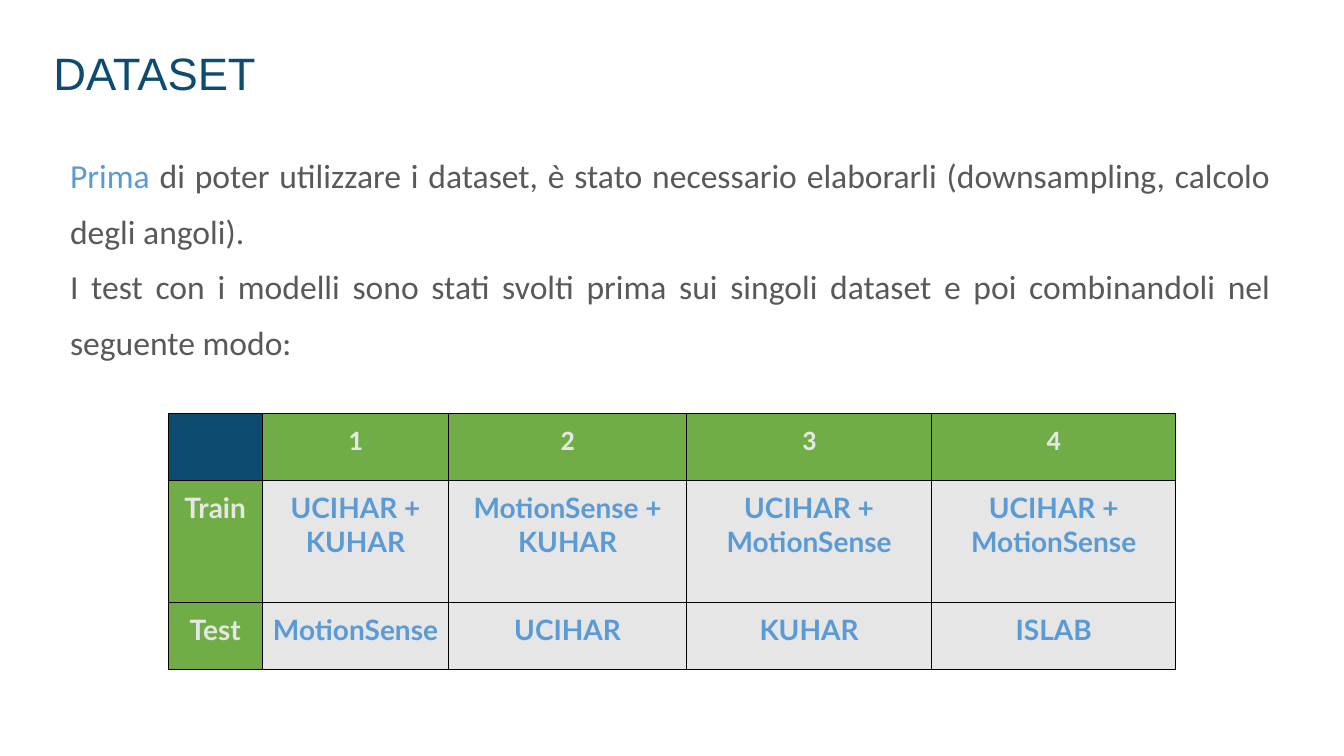
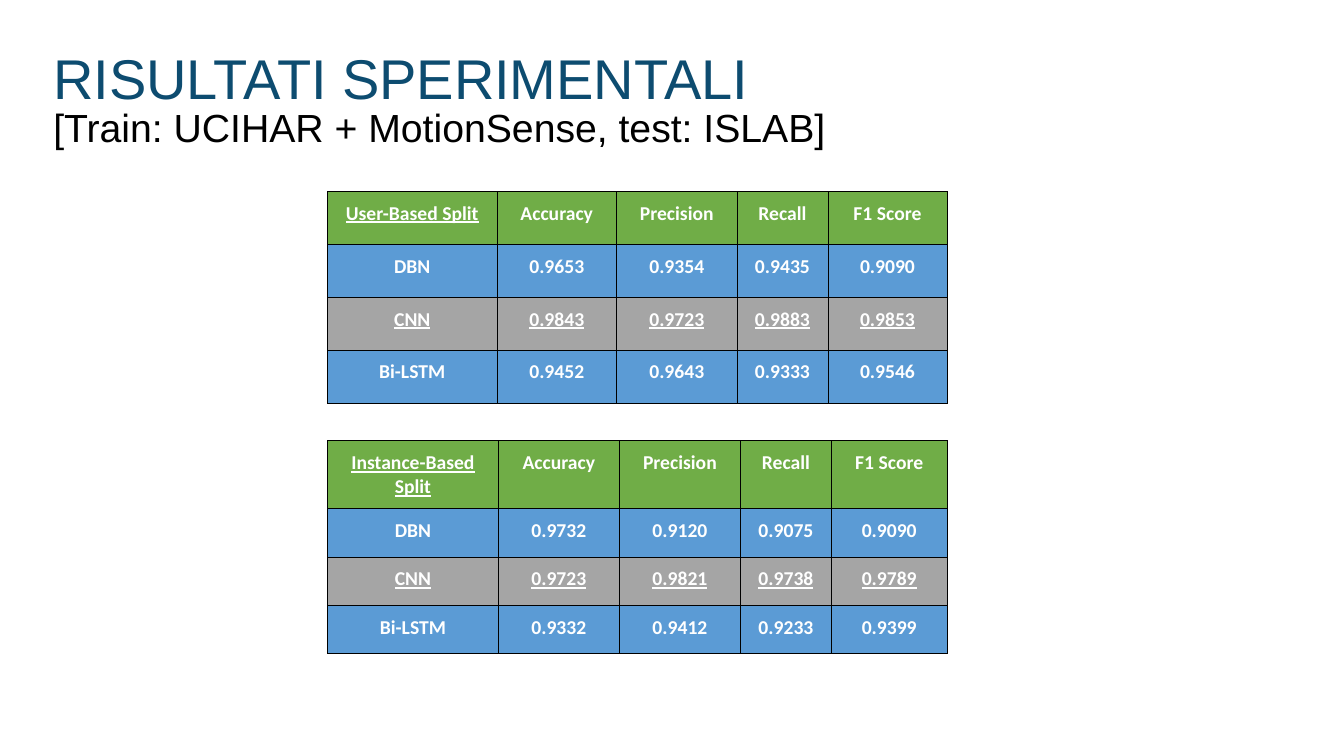
import lxml.etree
import pptx
import pptx.dml.color
import pptx.enum.shapes
import pptx.enum.text
import pptx.oxml.ns
import pptx.util

Pt = pptx.util.Pt
ALIGN = pptx.enum.text.PP_ALIGN

NAVY, BLUE, GREEN = "0D4C70", "5B9BD5", "70AD47"
GRAY, LIGHT, TEXT = "A5A5A5", "E7E6E6", "595959"
WHITE, BLACK = "FFFFFF", "000000"


def color(value):
    """Turn a hex string into a colour."""
    return pptx.dml.color.RGBColor.from_string(value)


class Deck:
    """Holds the shared style and the current slide."""

    heading_font = "Arial"
    body_font = "Calibri"
    heading_left, heading_width, heading_height = 31, 854.5, 44
    cell_margin = 7.2
    border_width = 0.75

    def __init__(self):
        """Start an empty widescreen presentation."""
        self.presentation = pptx.Presentation()
        self.presentation.slide_width = Pt(960)
        self.presentation.slide_height = Pt(540)
        self.slide = None

    def new_slide(self):
        """Add a blank slide with the shared side band and make it current."""
        self.slide = self.presentation.slides.add_slide(self.presentation.slide_layouts[6])
        self.band(903, 73.5, 46, 455, WHITE)

    def band(self, left, top, width, height, hue):
        """Add a plain filled rectangle without a line."""
        band = self.slide.shapes.add_shape(
            pptx.enum.shapes.MSO_SHAPE.RECTANGLE, Pt(left), Pt(top), Pt(width), Pt(height))
        band.shadow.inherit = False
        band.fill.solid()
        band.fill.fore_color.rgb = color(hue)
        band.line.fill.background()

    def style(self, run, size, hue, font, bold=False, underline=False):
        """Format one run."""
        run.font.size = Pt(size)
        run.font.name = font
        run.font.bold = bold
        run.font.underline = underline
        run.font.color.rgb = color(hue)

    def text_frame(self, left, top, width, height):
        """Add a wrapping text box and return its frame."""
        frame = self.slide.shapes.add_textbox(Pt(left), Pt(top), Pt(width), Pt(height)).text_frame
        frame.word_wrap = True
        return frame

    def heading(self, wording, size, top=33, hue=NAVY):
        """Add a title or subtitle line."""
        frame = self.text_frame(self.heading_left, top, self.heading_width, self.heading_height)
        frame.text = wording
        paragraph = frame.paragraphs[0]
        paragraph.line_spacing = 0.9
        self.style(paragraph.runs[0], size, hue, self.heading_font)

    def body(self, paragraphs):
        """Add justified paragraphs, each a list of (wording, colour) runs."""
        frame = self.text_frame(43, 96.3, 871.7, 198)
        for index, parts in enumerate(paragraphs):
            paragraph = frame.add_paragraph() if index else frame.paragraphs[0]
            paragraph.alignment = ALIGN.JUSTIFY
            paragraph.line_spacing = 1.38
            for wording, hue in parts:
                run = paragraph.add_run()
                run.text = wording
                self.style(run, 24, hue, self.body_font)

    def border(self, cell):
        """Draw a thin black line on all four sides of a cell."""
        properties = cell._tc.get_or_add_tcPr()
        qn = pptx.oxml.ns.qn
        for side in ("a:lnL", "a:lnR", "a:lnT", "a:lnB"):
            line = lxml.etree.SubElement(properties, qn(side), w=str(Pt(self.border_width)))
            fill = lxml.etree.SubElement(line, qn("a:solidFill"))
            lxml.etree.SubElement(fill, qn("a:srgbClr"), val=BLACK)

    def table(self, left, top, widths, heights, rows, look):
        """Add a table; look(row, column) gives the fill and the text style."""
        table = self.slide.shapes.add_table(
            len(rows), len(widths), Pt(left), Pt(top), Pt(sum(widths)), Pt(sum(heights))
        ).table
        table.horz_banding = False
        for column, width in zip(table.columns, widths):
            column.width = Pt(width)
        for r, (row, height, wordings) in enumerate(zip(table.rows, heights, rows)):
            row.height = Pt(height)
            for c, (cell, wording) in enumerate(zip(row.cells, wordings)):
                fill, text_style = look(r, c)
                self.border(cell)
                cell.fill.solid()
                cell.fill.fore_color.rgb = color(fill)
                cell.margin_left = cell.margin_right = Pt(self.cell_margin)
                cell.margin_top = cell.margin_bottom = Pt(self.cell_margin)
                cell.text_frame.text = wording
                paragraph = cell.text_frame.paragraphs[0]
                paragraph.alignment = ALIGN.CENTER
                for run in paragraph.runs:
                    self.style(run, bold=True, **text_style)


def split_look(row, column):
    """Colour the train and test table."""
    font = "Lato" if row else Deck.body_font
    if row and column:
        return LIGHT, {"size": 20, "hue": BLUE, "font": font}
    fill = GREEN if row or column else NAVY
    return fill, {"size": 20, "hue": LIGHT, "font": font}


def score_look(row, column):
    """Colour a score table and underline its name and its best model."""
    fill = (GREEN, BLUE, GRAY, BLUE)[row]
    underline = row == 2 or row == column == 0
    return fill, {"size": 14, "hue": WHITE, "font": Deck.body_font, "underline": underline}


def dataset_slide(deck):
    """Build the dataset slide."""
    deck.new_slide()
    deck.heading("DATASET", 32.4)
    deck.body([
        [("Prima", BLUE),
         (" di poter utilizzare i dataset, è stato necessario elaborarli "
          "(downsampling, calcolo degli angoli).", TEXT)],
        [("I test con i modelli sono stati svolti prima sui singoli dataset "
          "e poi combinandoli nel seguente modo:", TEXT)],
    ])
    combinations = [
        ["", "1", "2", "3", "4"],
        ["Train", "UCIHAR + KUHAR", "MotionSense + KUHAR",
         "UCIHAR + MotionSense", "UCIHAR + MotionSense"],
        ["Test", "MotionSense", "UCIHAR", "KUHAR", "ISLAB"],
    ]
    deck.table(120, 295.5, [67.5, 133, 170, 175, 174.5], [48, 87, 48], combinations, split_look)


def results_slide(deck):
    """Build the slide with the two score tables."""
    deck.new_slide()
    deck.heading("RISULTATI SPERIMENTALI", 40)
    deck.heading("[Train: UCIHAR + MotionSense, test: ISLAB]", 28, 74, BLACK)
    measures = ["Accuracy", "Precision", "Recall", "F1 Score"]
    models = ["DBN", "CNN", "Bi-LSTM"]
    splits = [
        ("User-Based Split", 136.8, [121, 85.5, 86, 65, 85], [37.8] * 4, [
            ["0.9653", "0.9354", "0.9435", "0.9090"],
            ["0.9843", "0.9723", "0.9883", "0.9853"],
            ["0.9452", "0.9643", "0.9333", "0.9546"],
        ]),
        ("Instance-Based Split", 314.9, [122, 86.5, 86.5, 65, 82.5], [48.6] + [34.5] * 3, [
            ["0.9732", "0.9120", "0.9075", "0.9090"],
            ["0.9723", "0.9821", "0.9738", "0.9789"],
            ["0.9332", "0.9412", "0.9233", "0.9399"],
        ]),
    ]
    for name, top, widths, heights, scores in splits:
        rows = [[name] + measures] + [[model] + values for model, values in zip(models, scores)]
        deck.table(234, top, widths, heights, rows, score_look)


def main():
    """Build both slides and save the file."""
    deck = Deck()
    dataset_slide(deck)
    results_slide(deck)
    deck.presentation.save("out.pptx")


if __name__ == "__main__":
    main()
